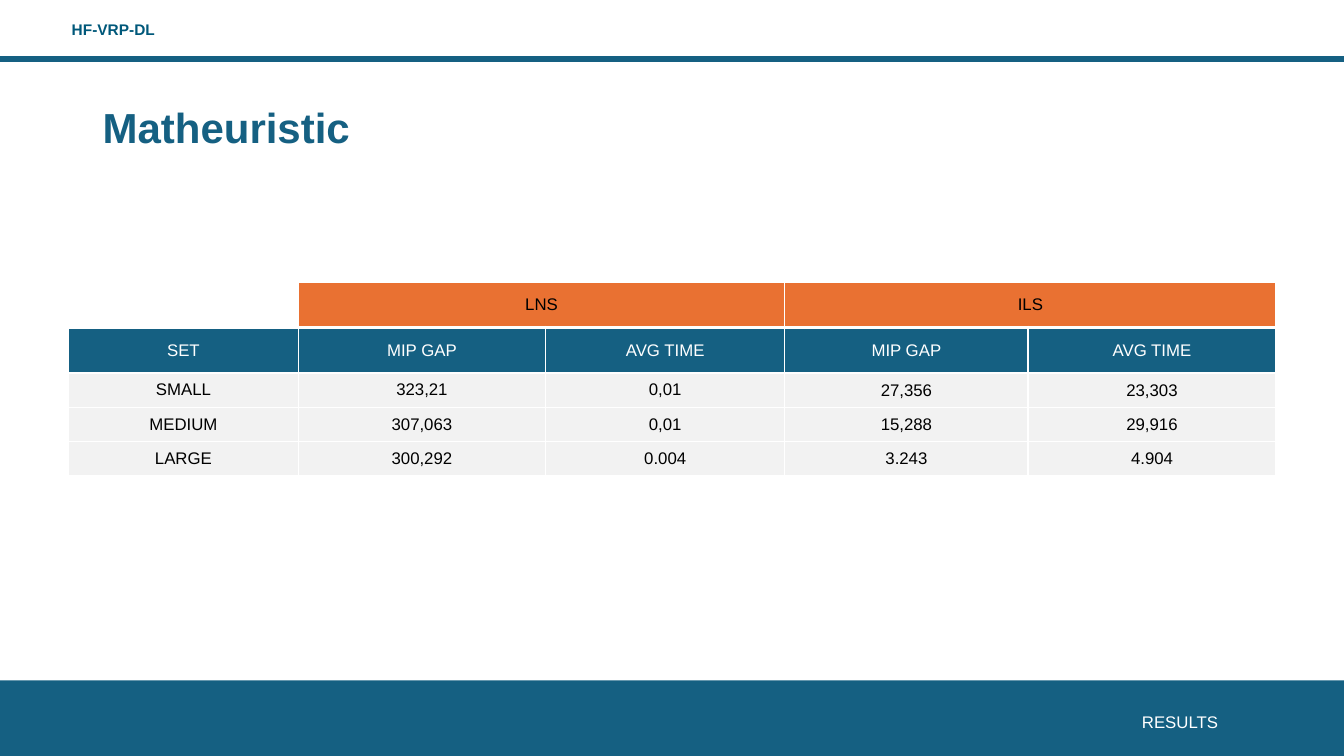
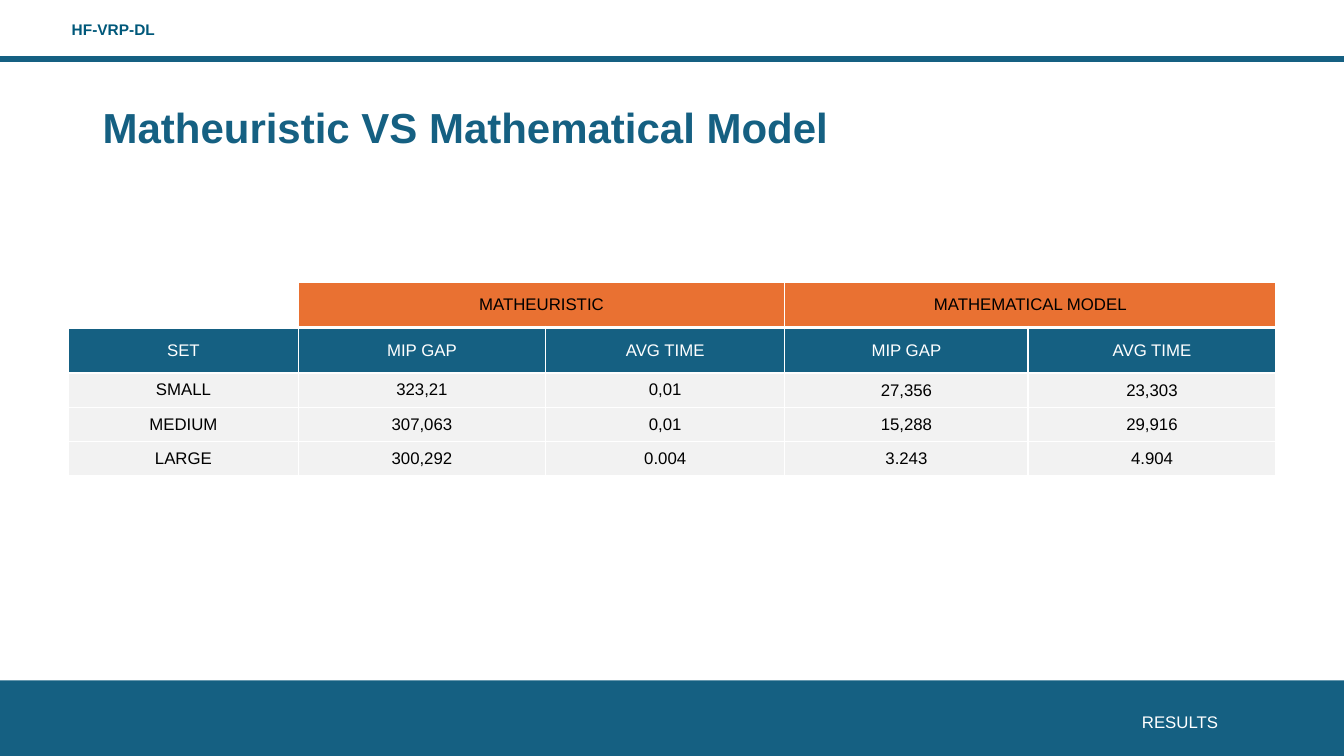
from lxml import etree
from pptx import Presentation
from pptx.dml.color import RGBColor
from pptx.enum.shapes import MSO_SHAPE
from pptx.enum.text import MSO_ANCHOR, PP_ALIGN
from pptx.oxml.ns import qn
from pptx.util import Inches, Pt

RECTANGLE = MSO_SHAPE.RECTANGLE
TOP, MIDDLE = MSO_ANCHOR.TOP, MSO_ANCHOR.MIDDLE
LEFT, CENTER = PP_ALIGN.LEFT, PP_ALIGN.CENTER

SLIDE_WIDTH, SLIDE_HEIGHT = 13.33, 7.5
FONT = "Arial"
COLORS = {
    "blue": "156082",
    "label": "00587A",
    "orange": "E97132",
    "grey": "F2F2F2",
    "white": "FFFFFF",
    "black": "000000",
}

COLUMN_SHARES = [17.1, 18.4, 17.8, 18.1, 18.45]
ROW_SHARES = [6, 6, 4.53, 4.53, 4.53]
ROW_STYLES = [("orange", "black"), ("blue", "white")] + [("grey", "black")] * 3
THIN, THICK = 1, 3

MEASURES = ["MIP GAP", "AVG TIME"]
RESULTS = [
    ["SMALL", "323,21", "0,01", "27,356", "23,303"],
    ["MEDIUM", "307,063", "0,01", "15,288", "29,916"],
    ["LARGE", "300,292", "0.004", "3.243", "4.904"],
]
SLIDES = [
    ("Matheuristic", ["LNS", "ILS"]),
    ("Matheuristic VS Mathematical Model", ["MATHEURISTIC", "MATHEMATICAL MODEL"]),
]


def across(percent):
    return Inches(SLIDE_WIDTH * percent / 100)


def down(percent):
    return Inches(SLIDE_HEIGHT * percent / 100)


def area(left, top, width, height):
    """Turn percentages of the slide into a position and a size."""
    return across(left), down(top), across(width), down(height)


def color(name):
    return RGBColor.from_string(COLORS[name])


def write(frame, text, size=12, ink="black", bold=False, align=CENTER, spacing=1.0):
    para = frame.paragraphs[0]
    para.alignment = align
    para.line_spacing = spacing
    span = para.add_run()
    span.text = text
    span.font.name = FONT
    span.font.size = Pt(size)
    span.font.bold = bold
    span.font.color.rgb = color(ink)


def add_text(page, place, text, anchor=TOP, **style):
    frame = page.shapes.add_textbox(*area(*place)).text_frame
    frame.word_wrap = True
    frame.vertical_anchor = anchor
    write(frame, text, **style)


def add_band(page, top, height, line_width=None):
    band = page.shapes.add_shape(RECTANGLE, *area(0, top, 100, height))
    band.shadow.inherit = False
    band.fill.solid()
    band.fill.fore_color.rgb = color("blue")
    if line_width:
        band.line.color.rgb = color("blue")
        band.line.width = Pt(line_width)
    else:
        band.line.fill.background()


def add_borders(cell, top, bottom):
    properties = cell._tc.get_or_add_tcPr()
    for side, width in (("L", THIN), ("R", THIN), ("T", top), ("B", bottom)):
        border = etree.SubElement(properties, qn(f"a:ln{side}"), w=str(Pt(width)))
        fill = etree.SubElement(border, qn("a:solidFill"))
        etree.SubElement(fill, qn("a:srgbClr"), val=COLORS["white"])


def add_results_table(page, methods):
    rows = [
        ["", methods[0], "", methods[1], ""],
        ["SET"] + MEASURES * len(methods),
        *RESULTS,
    ]
    place = area(5.1, 37.33, sum(COLUMN_SHARES), sum(ROW_SHARES))
    table = page.shapes.add_table(len(rows), len(COLUMN_SHARES), *place).table
    for column, share in zip(table.columns, COLUMN_SHARES):
        column.width = across(share)
    for row, share in zip(table.rows, ROW_SHARES):
        row.height = down(share)

    for row_index, (texts, (fill, ink)) in enumerate(zip(rows, ROW_STYLES)):
        for column_index, text in enumerate(texts):
            cell = table.cell(row_index, column_index)
            add_borders(
                cell,
                top=THICK if row_index == 1 else THIN,
                bottom=THICK if row_index == 0 else THIN,
            )
            is_corner = row_index == column_index == 0
            cell.fill.solid()
            cell.fill.fore_color.rgb = color("white" if is_corner else fill)
            cell.vertical_anchor = MIDDLE
            if text:
                write(cell.text_frame, text, ink=ink)

    for first in (1, 3):
        table.cell(0, first).merge(table.cell(0, first + 1))
        small_cell = table.cell(2, 2 + first // 3)
    for column_index in (3, 4):
        small_cell = table.cell(2, column_index)
        small_cell.margin_left = small_cell.margin_right = Inches(0.01)
        small_cell.margin_top, small_cell.margin_bottom = Inches(0.01), 0


def add_page(deck, title):
    """Add a blank slide with the bands, labels and title that all slides share."""
    page = deck.slides.add_slide(deck.slide_layouts[6])
    add_band(page, top=90, height=10)
    add_band(page, top=7.5, height=0.53, line_width=1.5)
    add_text(page, (4.6, 2, 9, 3.87), "HF-VRP-DL",
             size=11, ink="label", bold=True, align=LEFT)
    add_text(page, (6.9, 9.87, 86.25, 14.67), title, anchor=MIDDLE,
             size=30, ink="blue", bold=True, align=LEFT, spacing=0.9)
    add_text(page, (75.6, 93.47, 24.4, 4), "RESULTS", ink="white")
    return page


def main():
    deck = Presentation()
    deck.slide_width, deck.slide_height = Inches(SLIDE_WIDTH), Inches(SLIDE_HEIGHT)
    for title, methods in SLIDES:
        add_results_table(add_page(deck, title), methods)
    deck.save("out.pptx")


if __name__ == "__main__":
    main()
